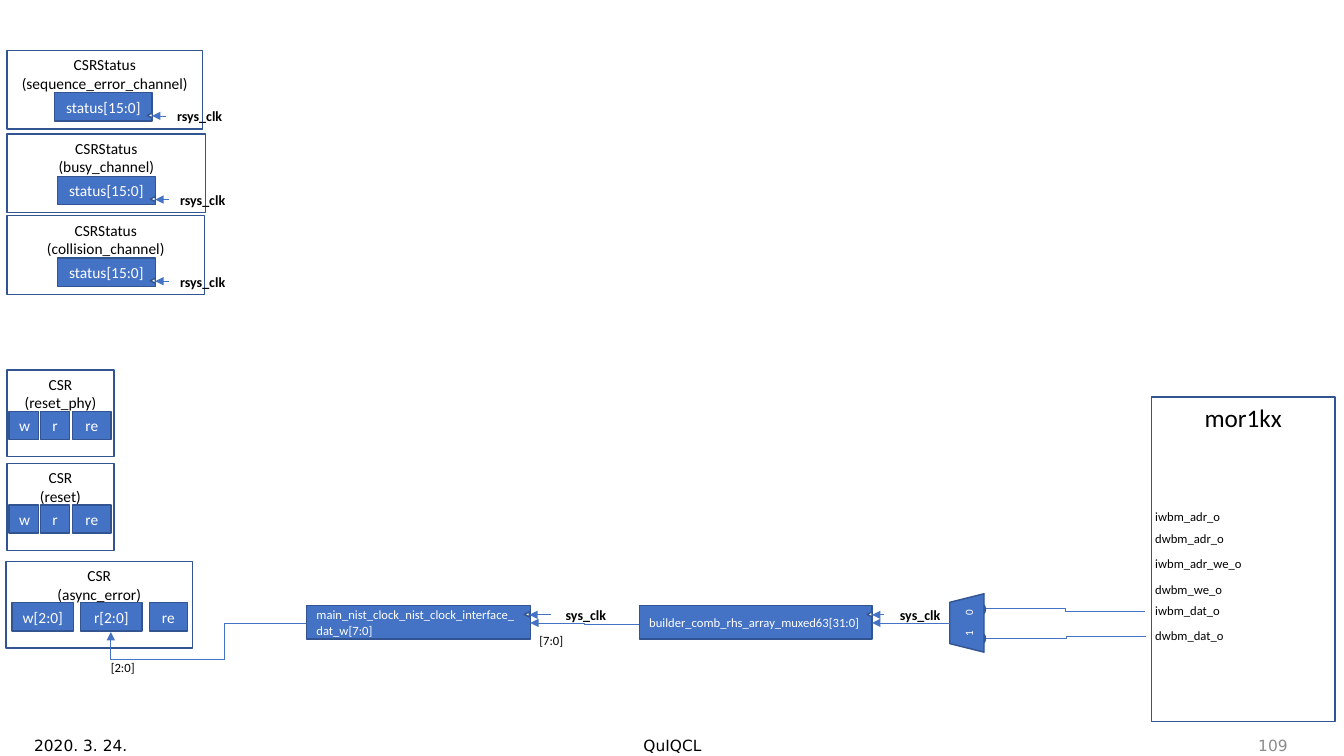
from dataclasses import dataclass

from lxml.etree import SubElement
from pptx import Presentation
from pptx.dml.color import RGBColor
from pptx.enum.shapes import MSO_CONNECTOR as Connector, MSO_SHAPE as Shape
from pptx.enum.text import MSO_ANCHOR as Anchor, MSO_AUTO_SIZE as AutoSize, PP_ALIGN as Align
from pptx.oxml.ns import qn
from pptx.util import Inches, Pt

BLUE = RGBColor(0x44, 0x72, 0xC4)
EDGE = RGBColor(0x32, 0x54, 0x91)
BLACK = RGBColor(0, 0, 0)
WHITE = RGBColor(255, 255, 255)
GRAY = RGBColor(0x8C, 0x8C, 0x8C)


@dataclass
class Box:
    left: float
    top: float
    width: float
    height: float


@dataclass
class Style:
    size: float
    color: RGBColor = BLACK
    align: Align = Align.CENTER
    anchor: Anchor = Anchor.TOP
    bold: bool = False
    name: str = "Calibri"


@dataclass
class Status:
    channel: str
    top: float
    width: float
    register_left: float


@dataclass
class Register:
    text: str
    left: float
    width: float


@dataclass
class Csr:
    name: str
    box: Box
    registers: list[Register]


@dataclass
class Wire:
    start: tuple[float, float]
    end: tuple[float, float]
    arrow: bool = False
    kind: str = "bentConnector3"
    bends: tuple[int, ...] = (50000,)


HEADING = Style(11)
REGISTER = Style(11, WHITE, anchor=Anchor.MIDDLE)
BUS = Style(9, WHITE, Align.LEFT, Anchor.MIDDLE)
CLOCK = Style(10, bold=True)
SIGNAL = Style(9, align=Align.LEFT)

STATUSES = [
    Status("sequence_error_channel", 0.5, 1.94, 0.54),
    Status("busy_channel", 1.33, 1.97, 0.57),
    Status("collision_channel", 2.14, 1.96, 0.57),
]
NARROW = [Register("w", 0.09, 0.29), Register("r", 0.4, 0.29), Register("re", 0.72, 0.38)]
WIDE = [Register("w[2:0]", 0.12, 0.61), Register("r[2:0]", 0.8, 0.61), Register("re", 1.48, 0.38)]
CSRS = [
    Csr("reset_phy", Box(0.07, 3.67, 1.06, 0.86), NARROW),
    Csr("reset", Box(0.07, 4.6, 1.06, 0.86), NARROW),
    Csr("async_error", Box(0.06, 5.57, 1.85, 0.86), WIDE),
]
WIRES = [
    Wire((9.42, 6.18), (8.65, 6.18), arrow=True),
    Wire((9.78, 6.04), (11.36, 6.06)),
    Wire((9.78, 6.33), (11.37, 6.31)),
    Wire((3.04, 6.18), (1.1, 6.27), True, "bentConnector4", (42100, 400000)),
    Wire((6.34, 6.19), (5.26, 6.18), arrow=True),
]
PORTS = {
    "iwbm_adr_o": 5,
    "dwbm_adr_o": 5.22,
    "iwbm_adr_we_o": 5.47,
    "dwbm_we_o": 5.72,
    "iwbm_dat_o": 5.93,
    "dwbm_dat_o": 6.18,
}


def place(box: Box) -> list[int]:
    return [Inches(value) for value in (box.left, box.top, box.width, box.height)]


def write(frame, text: str, style: Style) -> None:
    frame.word_wrap = True
    frame.vertical_anchor = style.anchor
    font_format = {"name": style.name, "size": Pt(style.size), "bold": style.bold}
    for index, line in enumerate(text.split("\n")):
        para = frame.add_paragraph() if index else frame.paragraphs[0]
        para.alignment = style.align
        span = para.add_run()
        span.text = line
        for key, value in font_format.items():
            setattr(span.font, key, value)
        span.font.color.rgb = style.color


def add_label(page, box: Box, text: str, style: Style, grow: bool = True) -> None:
    label = page.shapes.add_textbox(*place(box))
    write(label.text_frame, text, style)
    if grow:
        label.text_frame.auto_size = AutoSize.SHAPE_TO_FIT_TEXT


def add_block(page, box: Box, text: str = "", style: Style = REGISTER,
              fill: RGBColor | None = BLUE, kind: Shape = Shape.RECTANGLE, rotation: int = 0):
    block = page.shapes.add_shape(kind, *place(box))
    block.shadow.inherit = False
    block.rotation = rotation
    if fill is None:
        block.fill.background()
    else:
        block.fill.solid()
        block.fill.fore_color.rgb = fill
    block.line.color.rgb = EDGE
    block.line.width = Pt(1)
    if text:
        write(block.text_frame, text, style)
    return block


def add_wire(page, wire: Wire) -> None:
    ends = [Inches(value) for value in wire.start + wire.end]
    line = page.shapes.add_connector(Connector.ELBOW, *ends)
    line.line.color.rgb = BLUE
    line.line.width = Pt(0.5)
    properties = line._element.spPr
    geometry = properties.find(qn("a:prstGeom"))
    geometry.set("prst", wire.kind)
    guides = geometry.find(qn("a:avLst"))
    for number, bend in enumerate(wire.bends, 1):
        SubElement(guides, qn("a:gd"), name=f"adj{number}", fmla=f"val {bend}")
    if wire.arrow:
        SubElement(properties.find(qn("a:ln")), qn("a:tailEnd"), type="triangle")
    SubElement(properties, qn("a:effectLst"))


def add_clock(page, edge: float, level: float, length: float, text: str, width: float) -> None:
    add_label(page, Box(edge + length, level - 0.13, width, 0.27), text, CLOCK)
    add_block(page, Box(edge - 0.05, level - 0.03, 0.05, 0.05), fill=WHITE,
              kind=Shape.ISOSCELES_TRIANGLE, rotation=270)
    add_wire(page, Wire((edge + length, level), (edge, level), arrow=True))


def add_status(page, status: Status) -> None:
    add_block(page, Box(0.07, status.top, status.width, 0.78),
              f"CSRStatus\n({status.channel})", HEADING, None)
    add_block(page, Box(status.register_left, status.top + 0.42, 0.97, 0.28), "status[15:0]")
    add_clock(page, status.register_left + 0.97, status.top + 0.65, 0.14, "rsys_clk", 0.66)


def add_csr(page, csr: Csr) -> None:
    add_block(page, csr.box, f"CSR\n({csr.name})", HEADING, None)
    for register in csr.registers:
        add_block(page, Box(register.left, csr.box.top + 0.41, register.width, 0.28), register.text)


def add_multiplexer(page) -> None:
    for top in (6.28, 5.99):
        add_block(page, Box(9.66, top, 0.12, 0.11), kind=Shape.OVAL, rotation=270)
    body = add_block(page, Box(9.3, 6.01, 0.58, 0.34), "1\t0",
                     Style(8, WHITE, Align.LEFT, Anchor.MIDDLE),
                     kind=Shape.TRAPEZOID, rotation=270)
    body.text_frame.margin_right = 0
    tabs = SubElement(body.text_frame.paragraphs[0]._p.get_or_add_pPr(), qn("a:tabLst"))
    SubElement(tabs, qn("a:tab"), pos=str(Inches(0.21)), algn="l")


def main() -> None:
    deck = Presentation()
    deck.slide_width, deck.slide_height = Inches(13.33), Inches(7.5)
    page = deck.slides.add_slide(deck.slide_layouts[6])
    for left, width, text, align, color in (
        (0.24, 3, "2020. 3. 24.", Align.LEFT, BLACK),
        (4.42, 4.5, "QuIQCL", Align.CENTER, BLACK),
        (9.87, 3, "109", Align.RIGHT, GRAY),
    ):
        footer = Style(11, color, align, Anchor.MIDDLE, name="DejaVu Sans")
        add_label(page, Box(left, 7.19, width, 0.4), text, footer, grow=False)
    for status in STATUSES:
        add_status(page, status)
    for csr in CSRS:
        add_csr(page, csr)
    add_block(page, Box(6.34, 6.01, 2.31, 0.33), "builder_comb_rhs_array_muxed63[31:0]", BUS)
    add_clock(page, 8.65, 6.1, 0.12, "sys_clk", 0.71)
    add_block(page, Box(3.04, 6.01, 2.22, 0.33),
              "main_nist_clock_nist_clock_interface_dat_w[7:0]", BUS)
    add_clock(page, 5.25, 6.1, 0.22, "sys_clk", 0.68)
    add_label(page, Box(1, 6.5, 0.68, 0.25), "[2:0]", SIGNAL)
    add_label(page, Box(5.25, 6.23, 0.65, 0.25), "[7:0]", SIGNAL)
    add_multiplexer(page)
    for wire in WIRES:
        add_wire(page, wire)
    add_block(page, Box(11.42, 3.94, 1.82, 3.22), "mor1kx", Style(18), None)
    for port, top in PORTS.items():
        add_label(page, Box(11.36, top, 1.3, 0.25), port, SIGNAL)
    deck.save("out.pptx")


if __name__ == "__main__":
    main()
